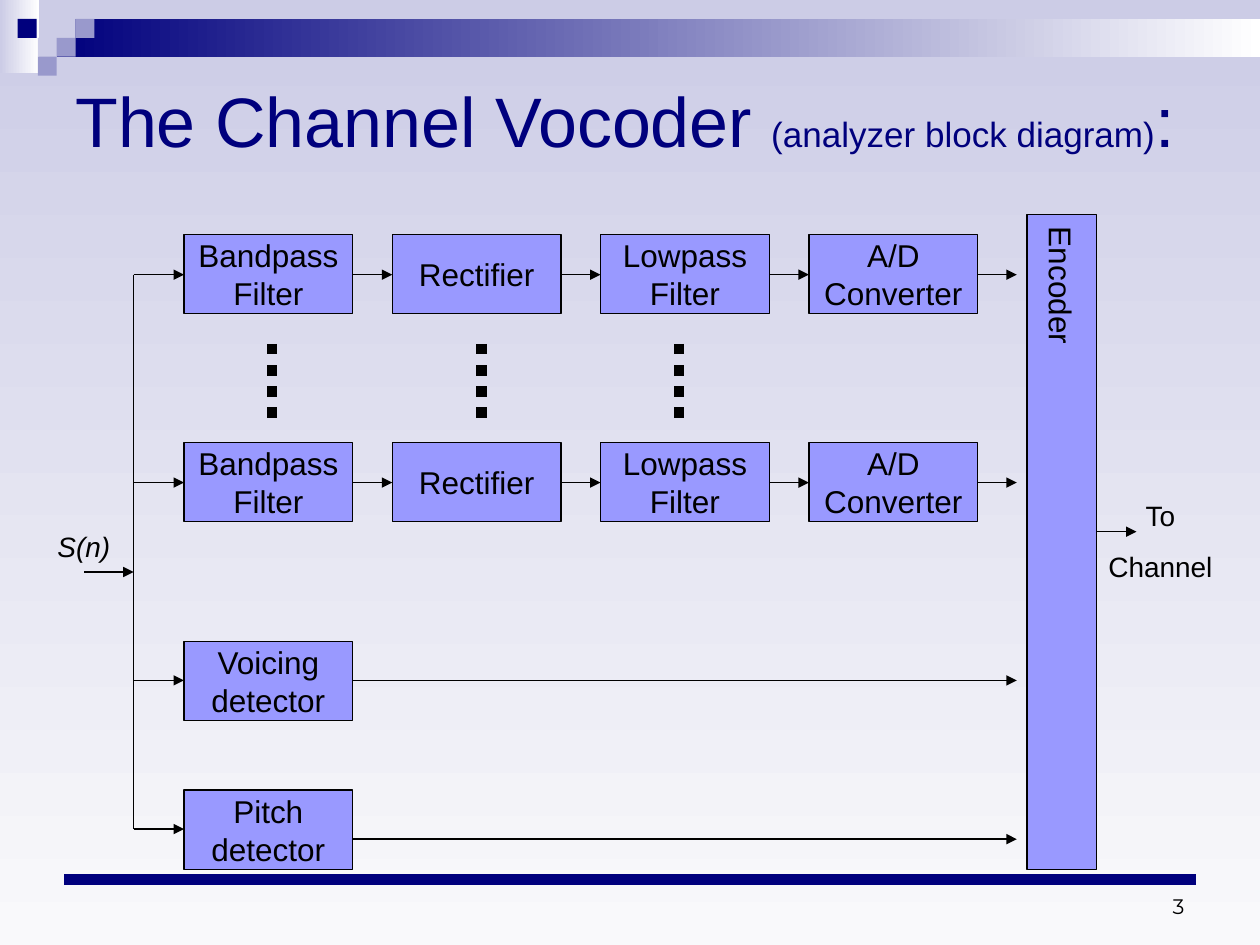
from dataclasses import dataclass
from typing import NamedTuple

from lxml import etree
from pptx import Presentation
from pptx import util as u
from pptx.dml.color import RGBColor
from pptx.enum import dml, shapes, text
from pptx.oxml import ns


@dataclass(frozen=True)
class Theme:
    navy: str = "00007D"
    lilac: str = "CCCCE6"
    violet: str = "9999CC"
    block: str = "9999FF"
    ink: str = "000000"
    white: str = "FFFFFF"
    pale: str = "F9F9FB"
    font: str = "Arial"
    number_font: str = "Montserrat"
    title: int = 40
    subtitle: int = 20
    block_size: int = 18
    label: int = 16
    number: int = 12
    thin: float = 0.75
    thick: float = 6


class Box(NamedTuple):
    left: float
    top: float
    width: float
    height: float

    def lengths(self) -> list:
        return [u.Inches(side) for side in self]


class Tile(NamedTuple):
    column: int
    row: int
    color: str


class Detector(NamedTuple):
    caption: str
    top: float
    input_y: float
    output_y: float


class Label(NamedTuple):
    caption: str
    box: Box
    size: int
    font: str
    align: text.PP_ALIGN = text.PP_ALIGN.CENTER
    anchor: text.MSO_ANCHOR = text.MSO_ANCHOR.TOP
    space_before: int = 0
    italic: bool = False


THEME = Theme()
STAGES = ("Bandpass\nFilter", "Rectifier", "Lowpass\nFilter", "A/D\nConverter")
CHANNEL_TOPS = (1.86, 3.51)
DETECTORS = (
    Detector("Voicing\ndetector", 5.09, 5.4, 5.4),
    Detector("Pitch\ndetector", 6.27, 6.58, 6.66),
)
FIRST_LEFT, LAST_LEFT = 1.46, 6.42
PITCH = (LAST_LEFT - FIRST_LEFT) / (len(STAGES) - 1)
BLOCK_WIDTH, BLOCK_HEIGHT = 1.34, 0.63
BUS_X, ENCODER_INPUT_X = 1.06, 8.07
ENCODER = Box(8.15, 1.7, 0.55, 5.2)
TILE = 0.15
TILES = (
    Tile(3, 1, THEME.lilac),
    Tile(4, 0, THEME.lilac),
    Tile(4, 1, THEME.violet),
    Tile(2, 2, THEME.lilac),
    Tile(3, 2, THEME.violet),
    Tile(2, 3, THEME.violet),
)
LABELS = (
    Label("S(n)", Box(0.27, 4.15, 0.79, 0.37), THEME.label, THEME.font,
          space_before=10, italic=True),
    Label("To\nChannel", Box(8.62, 3.91, 1.18, 0.77), THEME.label, THEME.font,
          space_before=10),
    Label("3", Box(7.17, 7.14, 2.33, 0.2), THEME.number, THEME.number_font,
          text.PP_ALIGN.RIGHT, text.MSO_ANCHOR.BOTTOM),
)


def rgb(color: str) -> RGBColor:
    return RGBColor.from_string(color)


def fade(fill, start: str, end: str, angle: int) -> None:
    fill.gradient()
    fill.gradient_angle = angle
    for stop, color, position in zip(fill.gradient_stops, (start, end), (0, 1)):
        stop.color.rgb = rgb(color)
        stop.position = position


def add_rect(slide, box: Box):
    rect = slide.shapes.add_shape(shapes.MSO_SHAPE.RECTANGLE, *box.lengths())
    rect.shadow.inherit = False
    rect.line.fill.background()
    return rect


def add_tile(slide, box: Box, color: str) -> None:
    fill = add_rect(slide, box).fill
    fill.solid()
    fill.fore_color.rgb = rgb(color)


def style(font, size: int, color: str = THEME.ink, name: str = THEME.font) -> None:
    font.size = u.Pt(size)
    font.name = name
    font.color.rgb = rgb(color)


def add_block(slide, caption: str, box: Box):
    block = add_rect(slide, box)
    block.fill.solid()
    block.fill.fore_color.rgb = rgb(THEME.block)
    block.line.color.rgb = rgb(THEME.ink)
    block.line.width = u.Pt(THEME.thin)
    frame = block.text_frame
    frame.word_wrap = False
    frame.vertical_anchor = text.MSO_ANCHOR.MIDDLE
    frame.text = caption
    for paragraph in frame.paragraphs:
        paragraph.alignment = text.PP_ALIGN.CENTER
        style(paragraph.font, THEME.block_size)
    return block


def add_line(slide, x1: float, y1: float, x2: float, y2: float,
             color: str = THEME.ink, width: float = THEME.thin):
    line = slide.shapes.add_connector(
        shapes.MSO_CONNECTOR.STRAIGHT, *(u.Inches(v) for v in (x1, y1, x2, y2)))
    line.line.color.rgb = rgb(color)
    line.line.width = u.Pt(width)
    etree.SubElement(line._element.spPr, ns.qn("a:effectLst"))
    return line


def add_arrow(slide, x1: float, x2: float, y: float) -> None:
    outline = add_line(slide, x1, y, x2, y).get_or_add_ln()
    etree.SubElement(outline, ns.qn("a:tailEnd"), type="triangle")


def add_label(slide, label: Label) -> None:
    frame = slide.shapes.add_textbox(*label.box.lengths()).text_frame
    frame.word_wrap = True
    frame.vertical_anchor = label.anchor
    frame.text = label.caption
    for paragraph in frame.paragraphs:
        paragraph.alignment = label.align
        paragraph.space_before = u.Pt(label.space_before)
        paragraph.font.italic = label.italic
        style(paragraph.font, label.size, name=label.font)


def add_title(slide) -> None:
    frame = slide.shapes.add_textbox(*Box(0.5, 0.5, 9, 0.89).lengths()).text_frame
    frame.word_wrap = True
    frame.vertical_anchor = text.MSO_ANCHOR.MIDDLE
    for words, size in (("The Channel Vocoder ", THEME.title),
                        ("(analyzer block diagram)", THEME.subtitle),
                        (":", THEME.title)):
        run = frame.paragraphs[0].add_run()
        run.text = words
        style(run.font, size, THEME.navy)


def add_decoration(slide) -> None:
    fade(slide.background.fill, THEME.lilac, THEME.pale, 270)
    fade(add_rect(slide, Box(0, 0, 0.31, 0.58)).fill, THEME.lilac, THEME.white, 0)
    fade(add_rect(slide, Box(0.45, 0.15, 9.55, 0.3)).fill, THEME.navy, THEME.white, 0)
    for tile in TILES:
        add_tile(slide, Box(tile.column * TILE, tile.row * TILE, TILE, TILE), tile.color)
    add_tile(slide, Box(0.14, TILE, TILE, TILE), THEME.navy)
    add_line(slide, 0.51, 6.98, 9.49, 6.98, THEME.navy, THEME.thick)


def add_channel(slide, top: float) -> None:
    middle = top + 0.32
    add_arrow(slide, BUS_X, FIRST_LEFT, middle)
    for index, caption in enumerate(STAGES):
        left = FIRST_LEFT + index * PITCH
        add_block(slide, caption, Box(left, top, BLOCK_WIDTH, BLOCK_HEIGHT))
        target = ENCODER_INPUT_X if caption == STAGES[-1] else left + PITCH
        add_arrow(slide, left + BLOCK_WIDTH, target, middle)


def add_detector(slide, detector: Detector) -> None:
    add_block(slide, detector.caption,
              Box(FIRST_LEFT, detector.top, BLOCK_WIDTH, BLOCK_HEIGHT))
    add_arrow(slide, BUS_X, FIRST_LEFT, detector.input_y)
    add_arrow(slide, FIRST_LEFT + BLOCK_WIDTH, ENCODER_INPUT_X, detector.output_y)


def add_encoder(slide) -> None:
    frame = add_block(slide, "Encoder", ENCODER).text_frame
    frame.word_wrap = True
    frame.margin_left = frame.margin_right = u.Inches(0.05)
    frame.margin_top = frame.margin_bottom = u.Inches(0.1)
    frame._txBody.bodyPr.set("vert", "eaVert")
    add_arrow(slide, ENCODER.left + ENCODER.width, 9.02, 4.22)


def main() -> None:
    deck = Presentation()
    deck.slide_width, deck.slide_height = u.Inches(10), u.Inches(7.5)
    slide = deck.slides.add_slide(deck.slide_layouts[6])
    add_decoration(slide)
    add_title(slide)
    add_line(slide, BUS_X, 2.18, BUS_X, 6.58)
    for top in CHANNEL_TOPS:
        add_channel(slide, top)
    for detector in DETECTORS:
        add_detector(slide, detector)
    add_encoder(slide)
    for x in (2.16, 3.82, 5.39):
        dots = add_line(slide, x, 2.73, x, 3.36, width=THEME.thick)
        dots.line.dash_style = dml.MSO_LINE.ROUND_DOT
    add_arrow(slide, 0.67, BUS_X, 4.54)
    for label in LABELS:
        add_label(slide, label)
    deck.save("out.pptx")


if __name__ == "__main__":
    main()
